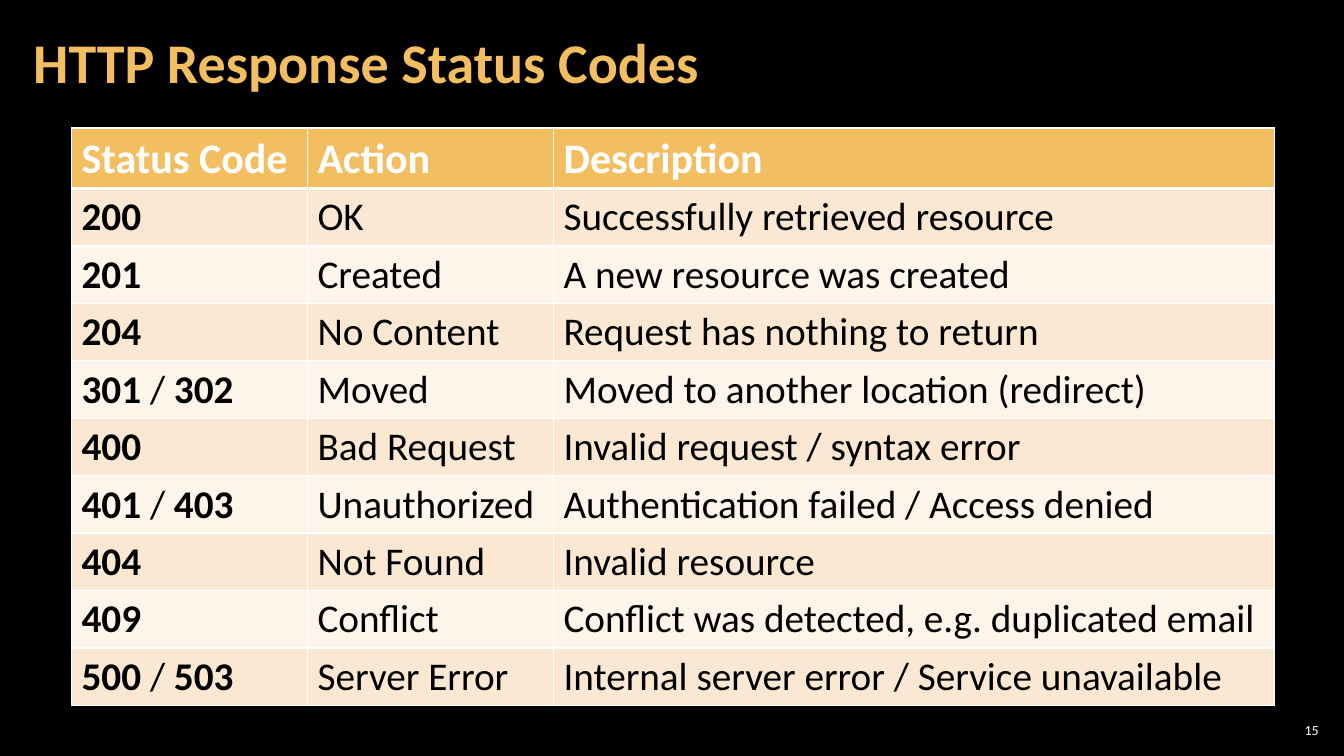
from dataclasses import dataclass

from lxml.etree import SubElement
from pptx import Presentation
from pptx.dml.color import RGBColor
from pptx.enum.text import MSO_ANCHOR, PP_ALIGN
from pptx.oxml.ns import qn
from pptx.util import Inches, Pt

TITLE = "HTTP Response Status Codes"
NUMBER = "15"
HEADS = ("Status Code", "Action", "Description")
CODES = [
    ("200", "OK", "Successfully retrieved resource"),
    ("201", "Created", "A new resource was created"),
    ("204", "No Content", "Request has nothing to return"),
    ("301 / 302", "Moved", "Moved to another location (redirect)"),
    ("400", "Bad Request", "Invalid request / syntax error"),
    ("401 / 403", "Unauthorized", "Authentication failed / Access denied"),
    ("404", "Not Found", "Invalid resource"),
    ("409", "Conflict", "Conflict was detected, e.g. duplicated email"),
    ("500 / 503", "Server Error", "Internal server error / Service unavailable"),
]
WIDTHS = (2.34, 2.44, 7.15)
HEAD_H, ROW_H = 0.6, 0.57


@dataclass(frozen=True)
class Theme:
    font: str = "Calibri"
    back: str = "000000"
    gold: str = "F3BE60"
    white: str = "FFFFFF"
    black: str = "000000"
    bands: tuple = ("FAE8D2", "FDF4EA")
    title: int = 40
    head: int = 30
    body: int = 28
    small: int = 10
    thin: int = 1
    thick: int = 3


THEME = Theme()


def style(run, size, color, bold=False):
    font = run.font
    font.name = THEME.font
    font.size = Pt(size)
    font.bold = bold
    font.color.rgb = RGBColor.from_string(color)


def add_text(slide, box, text, size, color, bold=False, side=0.04):
    frame = slide.shapes.add_textbox(*map(Inches, box)).text_frame
    frame.word_wrap = True
    frame.vertical_anchor = MSO_ANCHOR.MIDDLE
    frame.margin_left = frame.margin_right = Inches(side)
    frame.margin_top = frame.margin_bottom = Inches(0.04)
    frame.text = text
    para = frame.paragraphs[0]
    style(para.runs[0], size, color, bold)
    return para


def paint(cell, color, top, bottom):
    props = cell._tc.get_or_add_tcPr()
    for side, width in zip("LRTB", (THEME.thin, THEME.thin, top, bottom)):
        line = SubElement(props, qn(f"a:ln{side}"), w=str(Pt(width)))
        fill = SubElement(line, qn("a:solidFill"))
        SubElement(fill, qn("a:srgbClr"), val=THEME.white)
    cell.fill.solid()
    cell.fill.fore_color.rgb = RGBColor.from_string(color)


def fill_cell(cell, text, row, col):
    para = cell.text_frame.paragraphs[0]
    if row == 0:
        para.text = text
        style(para.runs[0], THEME.head, THEME.white, True)
        paint(cell, THEME.gold, THEME.thin, THEME.thick)
        return
    parts = text.partition("/") if col == 0 else (text,)
    for part in filter(None, parts):
        run = para.add_run()
        run.text = part
        style(run, THEME.body, THEME.black, col == 0 and part != "/")
    top = THEME.thick if row == 1 else THEME.thin
    paint(cell, THEME.bands[(row - 1) % 2], top, THEME.thin)


def add_codes(slide):
    rows = [HEADS, *CODES]
    high = HEAD_H + ROW_H * len(CODES)
    box = (0.71, 1.27, sum(WIDTHS), high)
    table = slide.shapes.add_table(len(rows), len(HEADS), *map(Inches, box)).table
    for col, width in zip(table.columns, WIDTHS):
        col.width = Inches(width)
    for row, texts in enumerate(rows):
        table.rows[row].height = Inches(ROW_H if row else HEAD_H)
        for col, text in enumerate(texts):
            fill_cell(table.cell(row, col), text, row, col)


def main():
    deck = Presentation()
    deck.slide_width, deck.slide_height = Inches(13.33), Inches(7.5)
    slide = deck.slides.add_slide(deck.slide_layouts[6])
    back = slide.background.fill
    back.solid()
    back.fore_color.rgb = RGBColor.from_string(THEME.back)
    page = add_text(slide, (12.65, 7.14, 0.47, 0.21), NUMBER, THEME.small, THEME.white)
    page.alignment = PP_ALIGN.RIGHT
    title = add_text(slide, (0.21, 0.04, 10.47, 1.21), TITLE, THEME.title,
                     THEME.gold, True, 0.12)
    title.line_spacing = 0.9
    add_codes(slide)
    deck.save("out.pptx")


if __name__ == "__main__":
    main()
